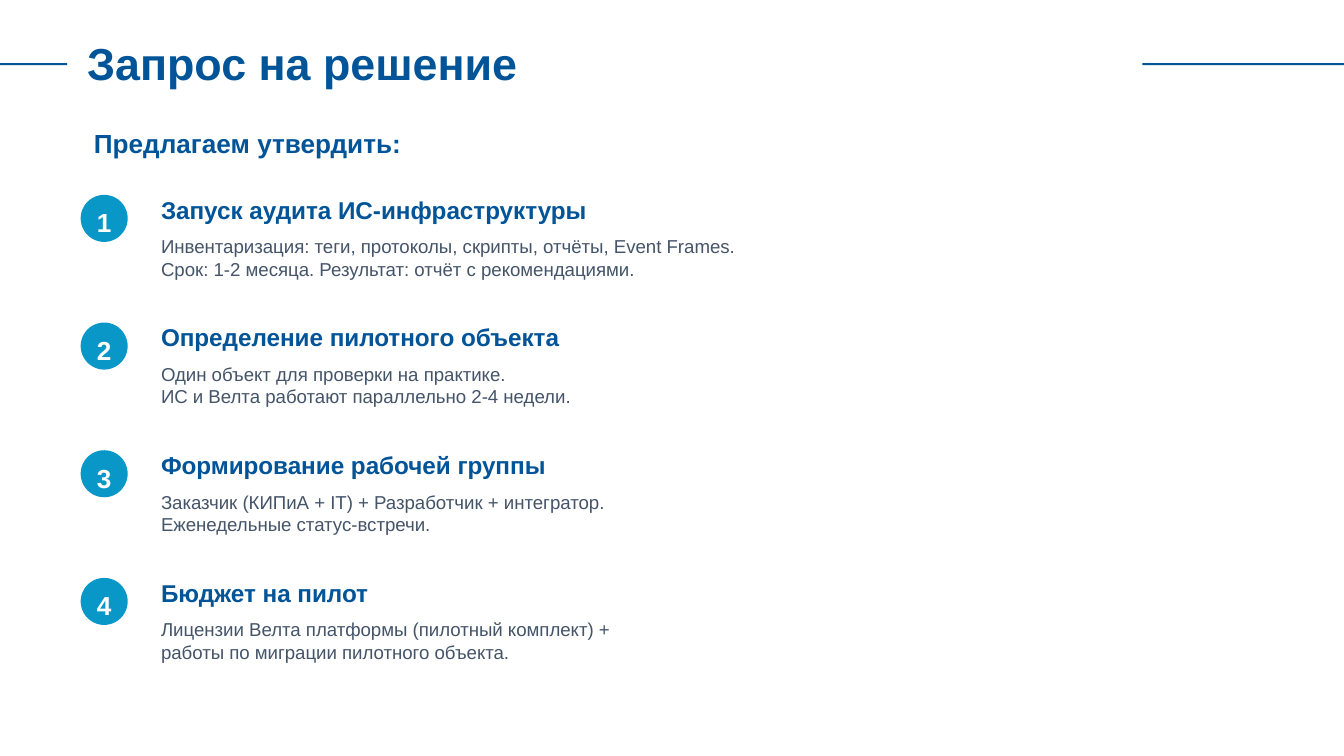
from typing import NamedTuple

from pptx import Presentation
from pptx.dml.color import RGBColor
from pptx.enum.shapes import MSO_SHAPE
from pptx.enum.text import MSO_AUTO_SIZE, PP_ALIGN
from pptx.slide import Slide
from pptx.util import Emu, Pt

EMU_PER_PX = 4572  # 200 px to the inch
PAGE_WIDTH = 2000
PAGE_HEIGHT = 1125
FONT = "Arial"
COLORS = {"navy": "005497", "cyan": "0997C8", "gray": "445469", "white": "FFFFFF"}


class Box(NamedTuple):
    left: int
    top: int
    width: int
    height: int

    def emu(self) -> list[Emu]:
        return [Emu(length * EMU_PER_PX) for length in self]


class Style(NamedTuple):
    size: int
    color: str
    bold: bool = True
    align: PP_ALIGN = PP_ALIGN.LEFT


class Request(NamedTuple):
    heading: str
    details: str


TITLE = Style(24, "navy")
SUBTITLE = Style(14, "navy")
NUMBER = Style(14, "white", align=PP_ALIGN.CENTER)
HEADING = Style(13, "navy")
DETAILS = Style(10, "gray", bold=False)

REQUESTS = [
    Request(
        "Запуск аудита ИС-инфраструктуры",
        "Инвентаризация: теги, протоколы, скрипты, отчёты, Event Frames.\n"
        "Срок: 1-2 месяца. Результат: отчёт с рекомендациями.",
    ),
    Request(
        "Определение пилотного объекта",
        "Один объект для проверки на практике.\n"
        "ИС и Велта работают параллельно 2-4 недели.",
    ),
    Request(
        "Формирование рабочей группы",
        "Заказчик (КИПиА + IT) + Разработчик + интегратор.\n"
        "Еженедельные статус-встречи.",
    ),
    Request(
        "Бюджет на пилот",
        "Лицензии Велта платформы (пилотный комплект) +\n"
        "работы по миграции пилотного объекта.",
    ),
]
FIRST_TOP = 280
ROW_STEP = 190


def add_filled(page: Slide, kind: MSO_SHAPE, box: Box, color: str) -> None:
    shape = page.shapes.add_shape(kind, *box.emu())
    shape.shadow.inherit = False
    shape.fill.solid()
    shape.fill.fore_color.rgb = RGBColor.from_string(COLORS[color])
    shape.line.fill.background()


def add_text(page: Slide, box: Box, text: str, style: Style) -> None:
    frame = page.shapes.add_textbox(*box.emu()).text_frame
    frame.word_wrap = True
    frame.auto_size = MSO_AUTO_SIZE.SHAPE_TO_FIT_TEXT
    para = frame.paragraphs[0]
    para.text = text
    para.alignment = style.align
    for span in para.runs:
        span.font.name = FONT
        span.font.size = Pt(style.size)
        span.font.bold = style.bold
        span.font.color.rgb = RGBColor.from_string(COLORS[style.color])


def add_request(page: Slide, number: int, top: int, request: Request) -> None:
    add_filled(page, MSO_SHAPE.OVAL, Box(120, top + 10, 70, 70), "cyan")
    add_text(page, Box(124, top + 18, 62, 54), str(number), NUMBER)
    add_text(page, Box(220, top, 1660, 60), request.heading, HEADING)
    add_text(page, Box(220, top + 60, 1660, 120), request.details, DETAILS)


def main() -> None:
    deck = Presentation()
    deck.slide_width = Emu(PAGE_WIDTH * EMU_PER_PX)
    deck.slide_height = Emu(PAGE_HEIGHT * EMU_PER_PX)
    page = deck.slides.add_slide(deck.slide_layouts[6])

    add_filled(page, MSO_SHAPE.RECTANGLE, Box(0, 94, 100, 3), "navy")
    add_text(page, Box(110, 44, 1700, 100), "Запрос на решение", TITLE)
    add_filled(page, MSO_SHAPE.RECTANGLE, Box(1700, 94, 300, 3), "navy")
    add_text(page, Box(120, 180, 1800, 70), "Предлагаем утвердить:", SUBTITLE)

    for index, request in enumerate(REQUESTS):
        add_request(page, index + 1, FIRST_TOP + index * ROW_STEP, request)

    deck.save("out.pptx")


if __name__ == "__main__":
    main()
